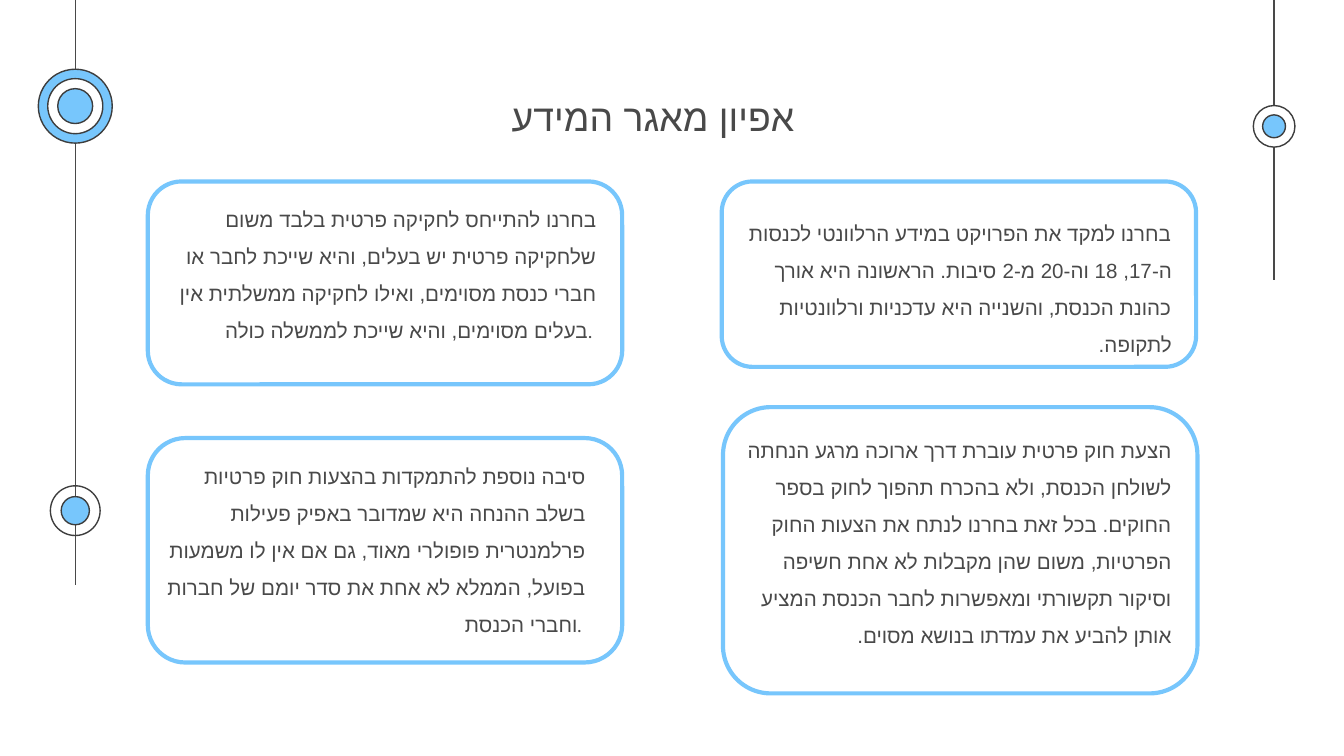
import pptx
import pptx.util
import pptx.dml.color
import pptx.enum.shapes
import pptx.enum.text
import pptx.oxml
from pptx.util import Inches

BLUE, WHITE, DARK, GREY = "77C6FC", "FFFFFF", "3D3D3D", "494949"
SHAPE = pptx.enum.shapes.MSO_SHAPE
ALIGN = pptx.enum.text.PP_ALIGN
A = "http://schemas.openxmlformats.org/drawingml/2006/main"


def paint(color_format, color):
    color_format.rgb = pptx.dml.color.RGBColor.from_string(color)


def write(sp, text, size=11, align=ALIGN.RIGHT, spacing=1.5, rtl=False, color=GREY, font="Karla"):
    tf = sp.text_frame
    tf.word_wrap = True
    tf.auto_size = pptx.enum.text.MSO_AUTO_SIZE.NONE
    tf.vertical_anchor = pptx.enum.text.MSO_ANCHOR.TOP
    tf.margin_left = tf.margin_right = tf.margin_top = tf.margin_bottom = Inches(0.1)
    p = tf.paragraphs[0]
    p.alignment, p.line_spacing = align, spacing
    p.space_before = pptx.util.Pt(0)
    if rtl:
        p._p.get_or_add_pPr().set("rtl", "1")
    r = p.add_run()
    r.text = text
    r.font.size, r.font.name = pptx.util.Pt(size), font
    paint(r.font.color, color)
    # Hebrew takes its typeface from the complex-script font
    r._r.get_or_add_rPr().append(
        pptx.oxml.parse_xml(f'<a:cs xmlns:a="{A}" typeface="Arial"/>'))


prs = pptx.Presentation()
prs.slide_width = Inches(10)
prs.slide_height = Inches(10) * 9 // 16
s = prs.slides.add_slide(prs.slide_layouts[0])
s.background.fill.solid()
paint(s.background.fill.fore_color, WHITE)

# Vertical lines at both edges
left_x, right_x = 0.56, 9.48
for x, bottom in [(left_x, 4.35), (right_x, 2.08)]:
    line = s.shapes.add_connector(
        pptx.enum.shapes.MSO_CONNECTOR.STRAIGHT, Inches(x), 0, Inches(x), Inches(bottom))
    paint(line.line.color, GREY)
    line.line.width = pptx.util.Pt(0.75)
    line._element.spPr.append(pptx.oxml.parse_xml(f'<a:effectLst xmlns:a="{A}"/>'))

# Concentric circles on the lines: centre, diameter, fill
circles = [
    (left_x, 3.8, 0.37, None), (left_x, 3.8, 0.21, BLUE),
    (right_x, 0.94, 0.31, WHITE), (right_x, 0.94, 0.17, BLUE),
    (left_x, 0.79, 0.55, BLUE), (left_x, 0.79, 0.41, WHITE), (left_x, 0.79, 0.26, BLUE),
]
for x, y, d, fill in circles:
    sp = s.shapes.add_shape(
        SHAPE.OVAL, Inches(x - d / 2), Inches(y - d / 2), Inches(d), Inches(d))
    sp.shadow.inherit = False
    if fill:
        sp.fill.solid()
        paint(sp.fill.fore_color, fill)
    else:
        sp.fill.background()
    paint(sp.line.color, DARK)
    sp.line.width = pptx.util.Pt(0.75)

# Rounded frames
for x, y, h in [(5.37, 1.35, 1.38), (5.38, 3.03, 2.13), (1.1, 1.35, 1.51), (1.1, 3.26, 1.67)]:
    sp = s.shapes.add_shape(
        SHAPE.ROUNDED_RECTANGLE, Inches(x), Inches(y), Inches(3.53), Inches(h))
    sp.shadow.inherit = False
    sp.fill.background()
    paint(sp.line.color, BLUE)
    sp.line.width = pptx.util.Pt(2.25)

# Title and the four reasons
title, subtitle = s.placeholders
title.left, title.top, title.width, title.height = map(Inches, (3.1, 0.6, 3.52, 0.63))
write(title, "אפיון מאגר המידע", size=20, align=ALIGN.CENTER, spacing=1.0)

subtitle.left, subtitle.top, subtitle.width, subtitle.height = map(Inches, (5.46, 1.45, 3.36, 1.11))
write(subtitle, "בחרנו למקד את הפרויקט במידע הרלוונטי לכנסות ה-17, 18 וה-20 מ-2 סיבות. "
      "הראשונה היא אורך כהונת הכנסת, והשנייה היא עדכניות ורלוונטיות לתקופה.", rtl=True)

reasons = [
    (5.46, 3.07, 1.11, True,
     "הצעת חוק פרטית עוברת דרך ארוכה מרגע הנחתה לשולחן הכנסת, ולא בהכרח תהפוך לחוק "
     "בספר החוקים. בכל זאת בחרנו לנתח את הצעות החוק הפרטיות, משום שהן מקבלות לא אחת "
     "חשיפה וסיקור תקשורתי ומאפשרות לחבר הכנסת המציע אותן להביע את עמדתו בנושא מסוים. "),
    (1.18, 1.35, 1.31, False,
     "בחרנו להתייחס לחקיקה פרטית בלבד משום שלחקיקה פרטית יש בעלים, והיא שייכת לחבר או "
     "חברי כנסת מסוימים, ואילו לחקיקה ממשלתית אין בעלים מסוימים, והיא שייכת לממשלה כולה. "),
    (1.1, 3.26, 1.15, False,
     "סיבה נוספת להתמקדות בהצעות חוק פרטיות בשלב ההנחה היא שמדובר באפיק פעילות "
     "פרלמנטרית פופולרי מאוד, גם אם אין לו משמעות בפועל, הממלא לא אחת את סדר יומם "
     "של חברות וחברי הכנסת. "),
]
for x, y, h, rtl, text in reasons:
    write(s.shapes.add_textbox(Inches(x), Inches(y), Inches(3.36), Inches(h)), text, rtl=rtl)

prs.save("out.pptx")
